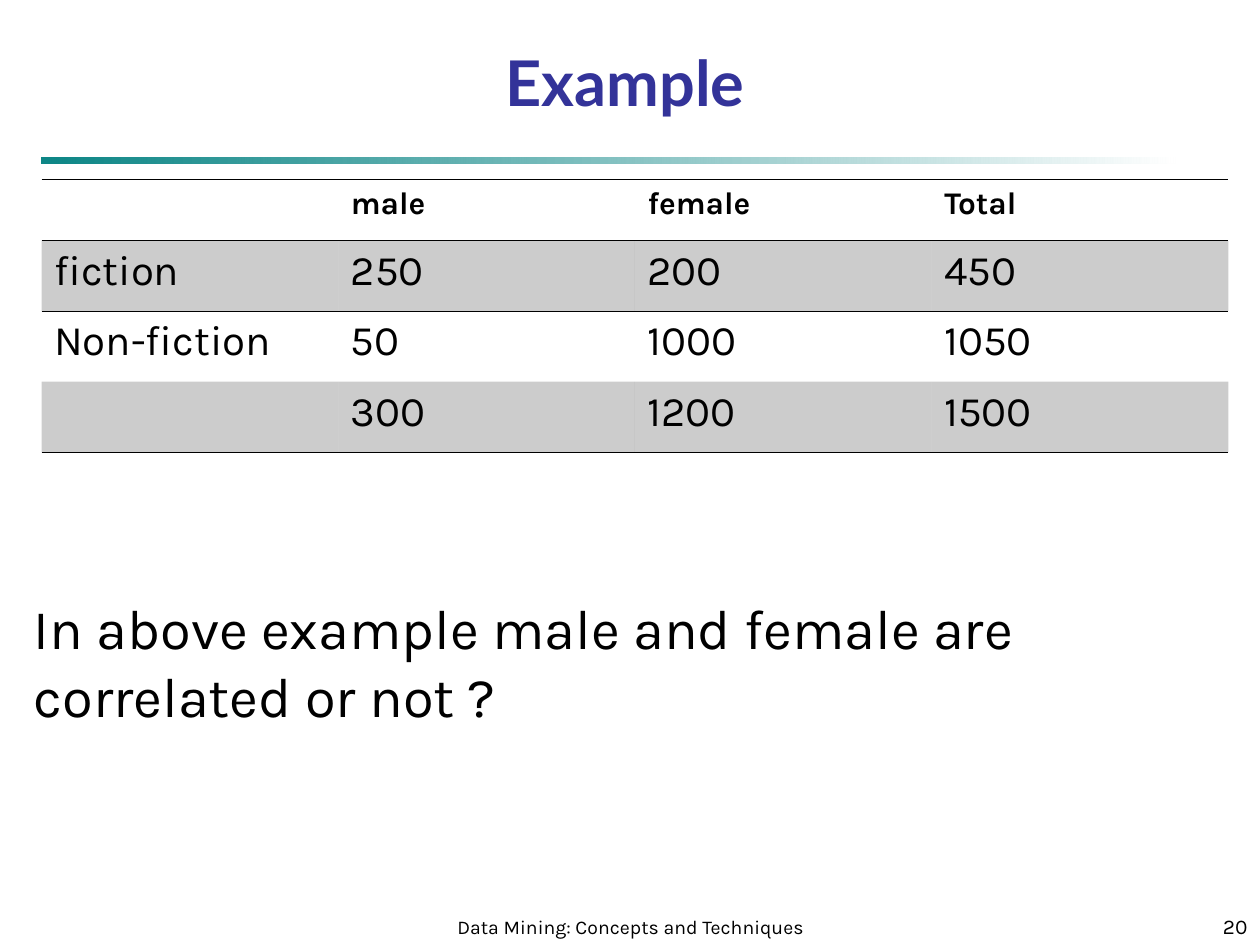
from dataclasses import dataclass

import pptx
import pptx.dml.color
import pptx.enum.shapes
import pptx.enum.text
import pptx.oxml
import pptx.oxml.ns
import pptx.util

Inches, Pt = pptx.util.Inches, pptx.util.Pt
ALIGN = pptx.enum.text.PP_ALIGN
ANCHOR = pptx.enum.text.MSO_ANCHOR
qn = pptx.oxml.ns.qn

WIDTH, HEIGHT = 10, 7.5
COLORS = {"title": "333399", "text": "000000", "rule": "008080", "paper": "FFFFFF"}
NO_STYLE_NO_GRID = "{2D5ABB26-0587-4C30-8999-92F81FD0307C}"

# Table contents and grid
ROWS = [
    ["", "male", "female", "Total"],
    ["fiction", "250", "200", "450"],
    ["Non-fiction", "50", "1000", "1050"],
    ["", "300", "1200", "1500"],
]
TABLE_LEFT, TABLE_TOP, TABLE_WIDTH = 0.33, 1.42, 9.42
HEADER_HEIGHT, BODY_HEIGHT = 0.49, 0.56


@dataclass
class Label:
    """A text box; lengths are shares of the slide's width and height."""
    text: str
    left: float
    top: float
    width: float
    height: float
    size: float
    font: str = "Karla"
    color: str = "text"
    bold: bool = False
    align: ALIGN = ALIGN.LEFT
    anchor: ANCHOR = ANCHOR.BOTTOM


LABELS = [
    Label("Example", 0.017, 0.044, 0.958, 0.089, 36, "Lato", "title", True, ALIGN.CENTER),
    Label("Data Mining: Concepts and Techniques", 0.342, 0.944, 0.317, 0.056, 11.1,
          align=ALIGN.CENTER),
    Label("20", 0.792, 0.944, 0.208, 0.056, 12, align=ALIGN.RIGHT),
    Label("In above example male and female are correlated or not ?",
          0.017, 0.622, 0.85, 0.156, 32, anchor=ANCHOR.TOP),
]


def rgb(name: str) -> pptx.dml.color.RGBColor:
    return pptx.dml.color.RGBColor.from_string(COLORS[name])


def add_run(p, text: str, size: float, font: str = "Karla",
            color: str = "text", bold: bool = False) -> None:
    r = p.add_run()
    r.text = text
    r.font.size, r.font.name, r.font.bold = Pt(size), font, bold
    r.font.color.rgb = rgb(color)


def set_alpha(parent, percent: int) -> None:
    color = next(parent.iter(qn("a:srgbClr")))
    color.append(pptx.oxml.parse_xml(
        f'<a:alpha {pptx.oxml.ns.nsdecls("a")} val="{percent * 1000}"/>'))


def add_label(s, label: Label) -> None:
    sp = s.shapes.add_textbox(
        Inches(label.left * WIDTH), Inches(label.top * HEIGHT),
        Inches(label.width * WIDTH), Inches(label.height * HEIGHT))
    tf = sp.text_frame
    tf.word_wrap = True
    tf.vertical_anchor = label.anchor
    p = tf.paragraphs[0]
    p.alignment = label.align
    add_run(p, label.text, label.size, label.font, label.color, label.bold)


def add_rule(s) -> None:
    sp = s.shapes.add_shape(pptx.enum.shapes.MSO_SHAPE.RECTANGLE,
                            Inches(TABLE_LEFT), Inches(1.25), Inches(9), Inches(0.05))
    sp.shadow.inherit = False
    sp.line.fill.background()
    sp.fill.gradient()
    sp.fill.gradient_angle = 0
    for stop, color, position in zip(sp.fill.gradient_stops, ("rule", "paper"), (0, 1)):
        stop.color.rgb = rgb(color)
        stop.position = position
    set_alpha(next(sp.element.iter(qn("a:gradFill"))), 95)


def add_borders(cell, sides: str) -> None:
    """Draw thin lines on the given sides, T before B, ahead of the fill."""
    for i, side in enumerate(sides):
        cell._tc.get_or_add_tcPr().insert(i, pptx.oxml.parse_xml(
            f'<a:ln{side} {pptx.oxml.ns.nsdecls("a")} w="{Pt(0.45)}"><a:solidFill>'
            f'<a:srgbClr val="{COLORS["text"]}"/></a:solidFill></a:ln{side}>'))


def add_counts_table(s) -> None:
    heights = [HEADER_HEIGHT] + [BODY_HEIGHT] * (len(ROWS) - 1)
    table = s.shapes.add_table(
        len(ROWS), len(ROWS[0]), Inches(TABLE_LEFT), Inches(TABLE_TOP),
        Inches(TABLE_WIDTH), Inches(sum(heights))).table
    next(table._tbl.iter(qn("a:tableStyleId"))).text = NO_STYLE_NO_GRID
    for column in table.columns:
        column.width = Inches(TABLE_WIDTH / len(ROWS[0]))
    borders = {0: "TB", 1: "T", len(ROWS) - 1: "B"}
    for i, values in enumerate(ROWS):
        table.rows[i].height = Inches(heights[i])
        for j, value in enumerate(values):
            cell = table.cell(i, j)
            if value:
                add_run(cell.text_frame.paragraphs[0], value,
                        18 if i == 0 else 24, bold=i == 0)
            if i % 2:
                cell.fill.solid()
                cell.fill.fore_color.rgb = rgb("text")
                set_alpha(cell._tc.tcPr, 20)
            else:
                cell.fill.background()
            add_borders(cell, borders.get(i, ""))


def main() -> None:
    prs = pptx.Presentation()
    prs.slide_width, prs.slide_height = Inches(WIDTH), Inches(HEIGHT)
    s = prs.slides.add_slide(prs.slide_layouts[6])
    # Rule under the title, then the table
    add_rule(s)
    add_counts_table(s)
    # Title, footer, page number and question
    for label in LABELS:
        add_label(s, label)
    prs.save("out.pptx")


if __name__ == "__main__":
    main()
